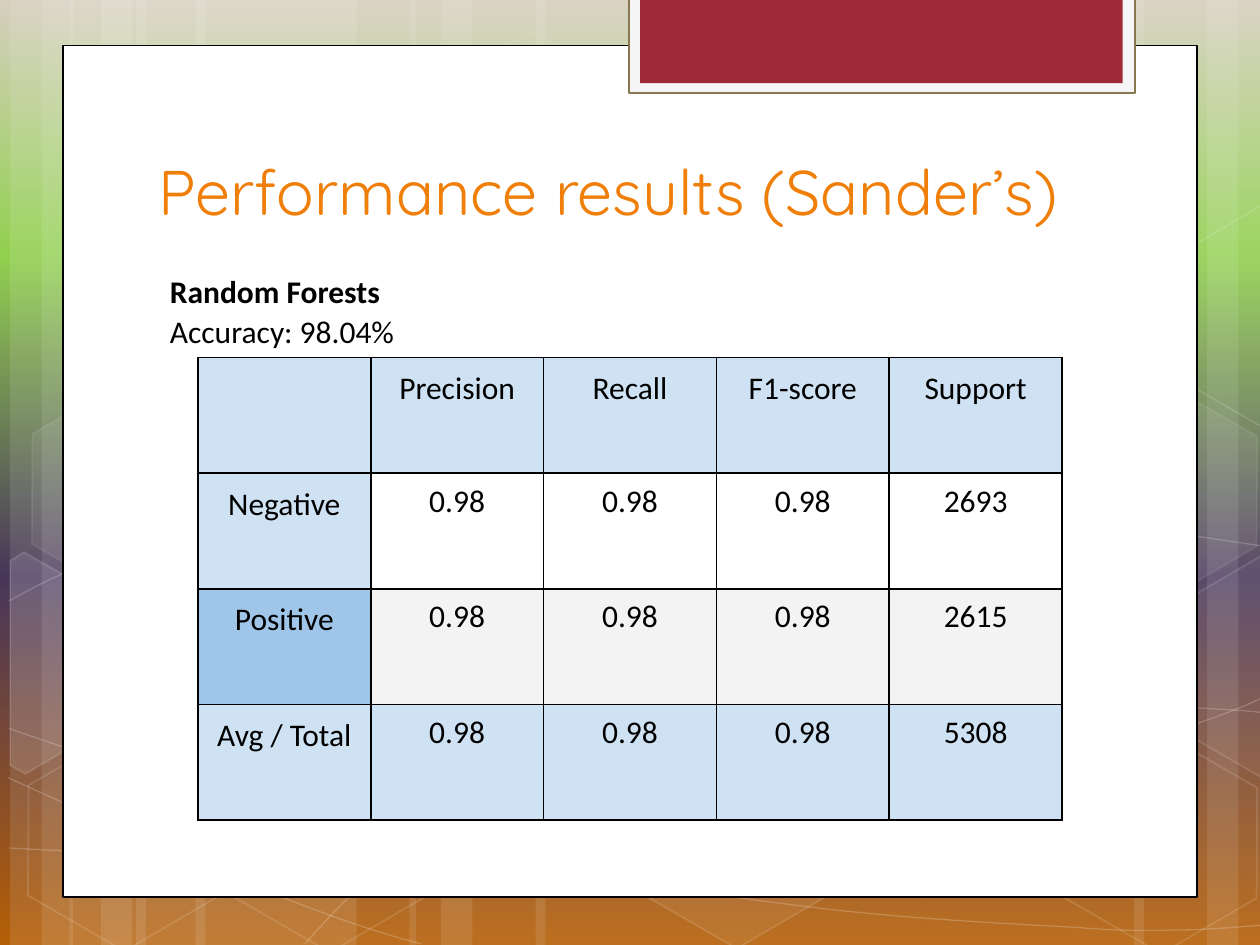
import math

import pptx
import pptx.util
import pptx.dml.color
import pptx.enum.shapes
import pptx.enum.text
import pptx.oxml
import pptx.oxml.ns
from lxml import etree

COLORS = {
    "white": "FFFFFF", "black": "000000", "title": "F07F09",
    "tab": "9F2936", "tab_frame": "F5F5F5", "tab_edge": "877852",
    "pale_blue": "CFE2F3", "blue": "9FC5E8", "grey": "F3F3F3",
}
BACKGROUND_STOPS = [(0, "D6CFBE"), (27, "92D050"), (61, "48365A"), (100, "B45F06")]

TITLE = "Performance results (Sander’s)"
SUMMARY = ["Random Forests", "Accuracy: 98.04%"]
RESULTS = [
    ["", "Precision", "Recall", "F1-score", "Support"],
    ["Negative", "0.98", "0.98", "0.98", "2693"],
    ["Positive", "0.98", "0.98", "0.98", "2615"],
    ["Avg / Total", "0.98", "0.98", "0.98", "5308"],
]
ROW_FILLS = [("pale_blue", "pale_blue"), ("pale_blue", None),
             ("blue", "grey"), ("pale_blue", "pale_blue")]

STRIPES = [(1.08, 1.75), (0.08, 0.5), (0.33, 0.83), (1.55, 1.75), (0.55, 0.5), (0.8, 0.83),
           (7.33, 1.75), (9.58, 0.5), (9, 0.83), (4.25, 3.08), (3.25, 0.5), (3.5, 0.83)]
CURVES = [
    [(0.07, 6.73), (0.61, 6.76), (1.15, 6.79), (1.9, 6.78), (2.65, 6.77), (3.58, 6.75),
     (4.58, 6.65), (5.58, 6.55), (7, 6.36), (7.92, 6.17), (8.83, 5.98), (9.77, 5.68),
     (10.07, 5.51)],
    [(0.07, 4.77), (0.36, 4.61), (0.65, 4.46), (1.21, 4.31), (1.78, 4.16), (2.59, 3.94),
     (3.47, 3.87), (4.36, 3.8), (5.44, 3.79), (6.54, 3.87), (7.64, 3.95), (9.47, 4.26),
     (10.07, 4.34)],
    [(0.06, 6.17), (1.27, 6.72), (2.47, 7.27), (3.34, 7.49)],
    [(0.07, 5.78), (0.38, 5.89), (0.7, 6), (1.28, 6.16), (1.86, 6.31), (2.73, 6.56),
     (3.57, 6.73), (4.4, 6.9), (5.45, 7.08), (6.28, 7.18), (7.11, 7.29), (8, 7.33),
     (8.53, 7.36), (9.05, 7.4), (9.19, 7.38), (9.45, 7.38), (9.71, 7.37), (9.89, 7.35),
     (10.07, 7.34)],
    [(2.42, 7.49), (2.6, 7.29), (2.78, 7.09), (3.02, 6.91), (3.26, 6.73), (3.6, 6.53),
     (3.88, 6.39), (4.16, 6.25), (4.33, 6.19), (4.7, 6.09), (5.06, 5.99), (5.73, 5.85),
     (6.08, 5.78), (6.44, 5.71), (6.49, 5.71), (6.8, 5.69), (7.11, 5.66), (7.6, 5.63),
     (7.94, 5.62), (8.29, 5.61), (8.86, 5.62), (8.86, 5.62), (9.08, 5.62), (9.31, 5.62),
     (9.53, 5.62), (9.71, 5.63), (9.88, 5.64), (9.97, 5.65), (10.06, 5.66), (10.03, 5.65),
     (10.06, 5.66)],
]
HEXAGON_TILT = 30
HEXAGONS = [(3.34, 0.36, 4, 8), (4.97, 5.89, 6, 12), (0.11, 5.91, 0, 12), (0.14, 3.12, 7, 8),
            (1.74, 5.92, 0, 12), (7.53, 4.53, 10, 12), (8.34, 5.93, 0, 12), (8.34, 3.14, 7, 8)]
CUT_HEXAGONS = [
    (10, (0.36, 5.35),
     [(0.08, 4.45), (0.19, 4.38), (0.96, 4.82), (0.95, 5.7), (0.2, 6.14), (0.08, 6.07)]),
    (4, (9.85, 5.2),
     [(9.26, 4.85), (10.01, 4.41), (10.09, 4.46), (10.09, 6.13), (10.02, 6.17), (9.26, 5.73)]),
    (0, (9.85, 2.41),
     [(9.26, 2.07), (10.01, 1.63), (10.1, 1.68), (10.09, 3.35), (10.02, 3.39), (9.26, 2.95)]),
]
PANELS = [((0.5, 0.36, 9, 6.76), "white", "black", 0.75),
          ((4.99, -0.02, 4.02, 0.76), "tab_frame", "tab_edge", 1.25),
          ((5.08, -0.02, 3.83, 0.68), "tab", None, 0)]
PRESET = pptx.enum.shapes.MSO_SHAPE
qn = pptx.oxml.ns.qn


def length(units):
    return pptx.util.Cm(2.54 * units)


def rgb(name):
    return pptx.dml.color.RGBColor.from_string(COLORS[name])


def set_alpha(parent, percent):
    color = parent.find(qn("a:solidFill"))[0]
    etree.SubElement(color, qn("a:alpha")).set("val", str(percent * 1000))


def paint(shape, fill=None, line=None, width=0, fill_alpha=100, line_alpha=100):
    shape.shadow.inherit = False
    properties = shape._element.spPr
    if fill and fill_alpha:
        shape.fill.solid()
        shape.fill.fore_color.rgb = rgb(fill)
        if fill_alpha < 100:
            set_alpha(properties, fill_alpha)
    else:
        shape.fill.background()
    if line:
        shape.line.color.rgb = rgb(line)
        shape.line.width = pptx.util.Pt(width)
        if line_alpha < 100:
            set_alpha(properties.find(qn("a:ln")), line_alpha)
    else:
        shape.line.fill.background()


def add_preset(slide, preset, box):
    return slide.shapes.add_shape(preset, *map(length, box))


def add_outline(slide, points, close):
    start, *rest = [(length(x), length(y)) for x, y in points]
    builder = slide.shapes.build_freeform(*start)
    builder.add_line_segments(rest, close=close)
    return builder.convert_to_shape()


def add_curve(slide, knots):
    shape = add_outline(slide, knots, False)
    segments = list(shape._element.iter(qn("a:lnTo")))
    for first in range(0, len(segments), 3):
        curve = etree.Element(qn("a:cubicBezTo"))
        segments[first].addprevious(curve)
        for segment in segments[first:first + 3]:
            curve.append(segment[0])
            segment.getparent().remove(segment)
    return shape


def turn_back(points, center):
    cosine, sine = (f(math.radians(HEXAGON_TILT)) for f in (math.cos, math.sin))
    offsets = [(x - center[0], y - center[1]) for x, y in points]
    return [(center[0] + x * cosine + y * sine, center[1] - x * sine + y * cosine)
            for x, y in offsets]


def set_background(slide):
    stops = "".join(f'<a:gs pos="{position * 1000}"><a:srgbClr val="{color}"/></a:gs>'
                    for position, color in BACKGROUND_STOPS)
    background = pptx.oxml.parse_xml(
        f'<p:bg {pptx.oxml.ns.nsdecls("p", "a")}><p:bgPr><a:gradFill><a:gsLst>{stops}</a:gsLst>'
        '<a:lin ang="5400000" scaled="0"/></a:gradFill><a:effectLst/></p:bgPr></p:bg>')
    slide.element.cSld.insert(0, background)


def add_backdrop(slide):
    set_background(slide)
    for left, width in STRIPES:
        paint(add_preset(slide, PRESET.RECTANGLE, (left, 0, width, 7.5)), "white", fill_alpha=10)
    for knots in CURVES:
        paint(add_curve(slide, knots), line="white", width=0.75, line_alpha=20)
    for left, top, fill_alpha, line_alpha in HEXAGONS:
        hexagon = add_preset(slide, PRESET.HEXAGON, (left, top, 1.75, 1.52))
        hexagon.adjustments[0] = 0.285
        hexagon.rotation = HEXAGON_TILT
        paint(hexagon, "white", "white", 1, fill_alpha, line_alpha)
    for fill_alpha, center, corners in CUT_HEXAGONS:
        hexagon = add_outline(slide, turn_back(corners, center), True)
        hexagon.rotation = HEXAGON_TILT
        paint(hexagon, "white", "white", 1, fill_alpha, 12)
    for box, fill, line, width in PANELS:
        paint(add_preset(slide, PRESET.RECTANGLE, box), fill, line, width)


def format_runs(paragraph, size, font, color, bold=False):
    for run in paragraph.runs:
        run.font.size = pptx.util.Pt(size)
        run.font.name = font
        run.font.bold = bold
        run.font.color.rgb = rgb(color)


def set_margins(target, margin):
    for side in ("left", "top", "right", "bottom"):
        setattr(target, f"margin_{side}", length(margin))


def add_text(slide, box, text, anchor):
    frame = slide.shapes.add_textbox(*map(length, box)).text_frame
    frame.word_wrap = True
    frame.vertical_anchor = anchor
    set_margins(frame, 0.1)
    frame.text = text
    return frame.paragraphs


def add_headings(slide):
    anchor = pptx.enum.text.MSO_ANCHOR
    title = add_text(slide, (1.16, 0.66, 7.68, 1.25), TITLE, anchor.BOTTOM)[0]
    format_runs(title, 36, "Quicksand", "title")
    title._p.get_or_add_pPr().set("indent", str(length(-0.08)))
    name, accuracy = add_text(slide, (1.25, 1.91, 3.28, 1.09), "\n".join(SUMMARY), anchor.MIDDLE)
    for paragraph in (name, accuracy):
        paragraph.line_spacing = 1.08
        format_runs(paragraph, 18, "Calibri", "black", bold=paragraph is name)
    accuracy.space_after = pptx.util.Pt(8)


def add_borders(cell):
    properties = cell._tc.get_or_add_tcPr()
    for side in "LRTB":
        border = etree.SubElement(properties, qn(f"a:ln{side}"), w=str(pptx.util.Pt(1)))
        fill = etree.SubElement(border, qn("a:solidFill"))
        etree.SubElement(fill, qn("a:srgbClr"), val=COLORS["black"])


def add_results(slide):
    box = map(pptx.util.Cm, (3.99, 7.21, 17.42, 9.32))
    table = slide.shapes.add_table(len(RESULTS), len(RESULTS[0]), *box).table
    table.first_row = table.horz_banding = False
    for row, values in enumerate(RESULTS):
        for column, value in enumerate(values):
            cell = table.cell(row, column)
            set_margins(cell, 0.07)
            add_borders(cell)
            fill = ROW_FILLS[row][column > 0]
            if fill:
                cell.fill.solid()
                cell.fill.fore_color.rgb = rgb(fill)
            else:
                cell.fill.background()
            cell.text_frame.text = value
            paragraph = cell.text_frame.paragraphs[0]
            paragraph.alignment = pptx.enum.text.PP_ALIGN.CENTER
            if row == 0 or column == 0:
                paragraph.line_spacing = 1.08
                paragraph.space_after = pptx.util.Pt(8)
            format_runs(paragraph, 18, "Calibri", "black")


presentation = pptx.Presentation()
presentation.slide_width, presentation.slide_height = length(10), length(7.5)
slide = presentation.slides.add_slide(presentation.slide_layouts[6])
add_backdrop(slide)
add_headings(slide)
add_results(slide)
presentation.save("out.pptx")
